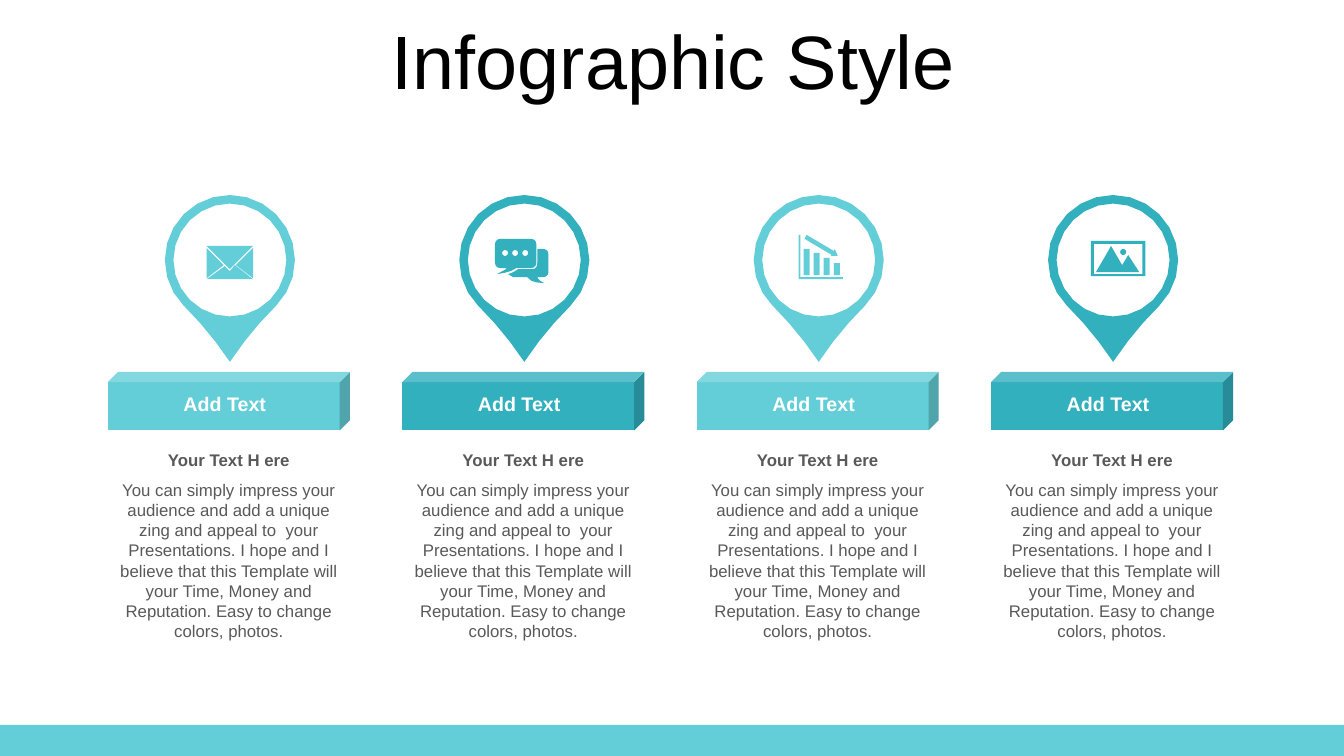
from math import cos, radians, sin

from pptx import Presentation
from pptx.dml.color import RGBColor
from pptx.enum.shapes import MSO_SHAPE
from pptx.enum.text import MSO_ANCHOR, MSO_AUTO_SIZE, PP_ALIGN
from pptx.util import Inches, Pt

RECTANGLE = MSO_SHAPE.RECTANGLE
CUBE = MSO_SHAPE.CUBE
CENTER = PP_ALIGN.CENTER
MIDDLE = MSO_ANCHOR.MIDDLE
FIXED_SIZE = MSO_AUTO_SIZE.NONE
FIT_TEXT = MSO_AUTO_SIZE.SHAPE_TO_FIT_TEXT

LIGHT, DARK, GREY, WHITE, BLACK = "64CED8", "32B0BE", "595959", "FFFFFF", "000000"
FIRST_CENTER, PITCH = 2.28, 2.92
PIN_Y = 2.58
DESCRIPTION = (
    "You can simply impress your audience and add a unique zing and appeal to  your "
    "Presentations. I hope and I believe that this Template will your Time, Money and "
    "Reputation. Easy to change colors, photos."
)


def color(hex_string):
    return RGBColor.from_string(hex_string)


def paint(shape, fill):
    shape.shadow.inherit = False
    shape.fill.solid()
    shape.fill.fore_color.rgb = color(fill)
    shape.line.fill.background()


def add_block(page, kind, left, top, width, height, fill):
    block = page.shapes.add_shape(
        kind, Inches(left), Inches(top), Inches(width), Inches(height))
    paint(block, fill)
    return block


def add_text(page, text, left, top, width, height, size, ink, bold=False):
    box = page.shapes.add_textbox(
        Inches(left), Inches(top), Inches(width), Inches(height))
    frame = box.text_frame
    frame.word_wrap = True
    frame.auto_size = FIT_TEXT
    para = frame.paragraphs[0]
    para.alignment = CENTER
    span = para.add_run()
    span.text = text
    span.font.color.rgb = color(ink)
    for name, value in {"name": "Arial", "size": Pt(size), "bold": bold}.items():
        setattr(span.font, name, value)
    return box


def arc(x, y, radius, start, end, steps):
    """Points from start to end, in degrees clockwise from the right."""
    angles = [radians(start + (end - start) * i / steps) for i in range(steps + 1)]
    return [(x + radius * cos(a), y + radius * sin(a)) for a in angles]


def circle(x, y, radius, steps):
    return arc(x, y, radius, 0, 360, steps)[:-1]


def corner(x, y, radius, start):
    return arc(x, y, radius, start, start + 90, 3)


def curve(p0, p1, p2, p3, steps=3):
    """Points on a cubic Bezier curve, without its start."""
    points = []
    for i in range(1, steps + 1):
        t = i / steps
        weights = ((1 - t) ** 3, 3 * t * (1 - t) ** 2, 3 * t * t * (1 - t), t ** 3)
        points.append(tuple(
            sum(w * p[axis] for w, p in zip(weights, (p0, p1, p2, p3)))
            for axis in (0, 1)))
    return points


def box_outline(left, top, right, bottom):
    return [(left, top), (right, top), (right, bottom), (left, bottom)]


def add_outlines(page, center, outlines, fill):
    """One freeform; x counts from the column center, inner outlines are holes."""
    placed = [[(Inches(center + x), Inches(y)) for x, y in line] for line in outlines]
    builder = page.shapes.build_freeform(*placed[0][0])
    for index, points in enumerate(placed):
        if index:
            builder.move_to(*points[0])
        builder.add_line_segments(points[1:], close=True)
    paint(builder.convert_to_shape(), fill)


def pin():
    tip = (0, 3.59)
    outer = (arc(0, PIN_Y, 0.645, 135, 405, 18)
             + curve((0.46, 3.03), (0.29, 3.2), (0.14, 3.38), tip)
             + curve(tip, (-0.14, 3.38), (-0.29, 3.2), (-0.46, 3.03)))
    return [outer, circle(0, PIN_Y, 0.56, 24)]


def envelope():
    return [
        [(0.05, 2.63), (0.23, 2.77), (-0.23, 2.77), (-0.05, 2.64), (0, 2.69)],
        [(0.23, 2.46), (0.23, 2.76), (0.06, 2.63)],
        [(-0.23, 2.46), (-0.06, 2.63), (-0.23, 2.76)],
        [(-0.23, 2.44), (0.23, 2.44), (0, 2.67)],
    ]


def speech_bubbles():
    front = (corner(-0.24, 2.42, 0.05, 180)
             + corner(0.07, 2.42, 0.05, 270)
             + corner(0.07, 2.61, 0.05, 0)
             + [(-0.08, 2.66)]
             + curve((-0.08, 2.66), (-0.14, 2.7), (-0.16, 2.7), (-0.27, 2.72))
             + curve((-0.27, 2.72), (-0.21, 2.68), (-0.2, 2.69), (-0.17, 2.66))
             + corner(-0.24, 2.61, 0.05, 90))
    back = ([(0.13, 2.47)]
            + corner(0.19, 2.52, 0.05, 270)
            + corner(0.19, 2.7, 0.05, 0)
            + [(0.13, 2.75)]
            + curve((0.13, 2.75), (0.14, 2.77), (0.14, 2.78), (0.2, 2.81))
            + curve((0.2, 2.81), (0.09, 2.8), (0.08, 2.8), (0.03, 2.75))
            + [(-0.11, 2.75), (-0.16, 2.72)]
            + curve((-0.16, 2.72), (-0.12, 2.71), (-0.09, 2.69), (-0.06, 2.67))
            + [(0.08, 2.67)]
            + curve((0.08, 2.67), (0.11, 2.67), (0.13, 2.65), (0.13, 2.61)))
    return [front, back] + [circle(x, 2.51, 0.03, 10) for x in (-0.19, -0.09, 0.01)]


def falling_bars():
    bars = [box_outline(-0.15 + 0.1 * i, top, -0.09 + 0.1 * i, 2.73)
            for i, top in enumerate((2.47, 2.51, 2.56, 2.61))]
    arrow = [(-0.12, 2.33), (0.15, 2.49), (0.16, 2.47), (0.19, 2.54),
             (0.12, 2.54), (0.13, 2.53), (-0.14, 2.37)]
    axes = [(-0.2, 2.33), (-0.18, 2.33), (-0.18, 2.75), (0.24, 2.75),
            (0.24, 2.77), (-0.2, 2.77)]
    return bars + [arrow, axes]


def landscape():
    mountains = [(-0.02, 2.44), (0.09, 2.63), (0.15, 2.53), (0.26, 2.7), (-0.17, 2.7)]
    return [box_outline(-0.22, 2.39, 0.32, 2.74), box_outline(-0.19, 2.42, 0.29, 2.72),
            mountains, circle(0.1, 2.5, 0.03, 10)]


def add_column(page, center, icon, fill):
    cube = add_block(page, CUBE, center - 1.21, 3.69, 2.4, 0.58, fill)
    cube.adjustments[0] = 0.173
    add_outlines(page, center, pin(), fill)
    add_outlines(page, center, icon, fill)
    add_text(page, "Add Text", center - 0.92, 3.84, 1.74, 0.34, 14, WHITE, True)
    add_text(page, "Your Text H ere", center - 1.23, 4.41, 2.44, 0.3, 12, GREY, True)
    add_text(page, DESCRIPTION, center - 1.23, 4.71, 2.44, 1.72, 12, GREY)


def main():
    deck = Presentation()
    deck.slide_width, deck.slide_height = Inches(13.33), Inches(7.5)
    page = deck.slides.add_slide(deck.slide_layouts[6])

    add_block(page, RECTANGLE, 0, 7.19, 13.33, 0.31, LIGHT)
    title = add_text(page, "Infographic Style", 0.35, 0.25, 12.66, 0.79, 54, BLACK)
    title.text_frame.auto_size = FIXED_SIZE
    title.text_frame.vertical_anchor = MIDDLE
    title.text_frame.paragraphs[0].line_spacing = 0.9

    icons = (envelope(), speech_bubbles(), falling_bars(), landscape())
    for index, icon in enumerate(icons):
        add_column(page, FIRST_CENTER + PITCH * index, icon, (LIGHT, DARK)[index % 2])

    deck.save("out.pptx")


if __name__ == "__main__":
    main()
